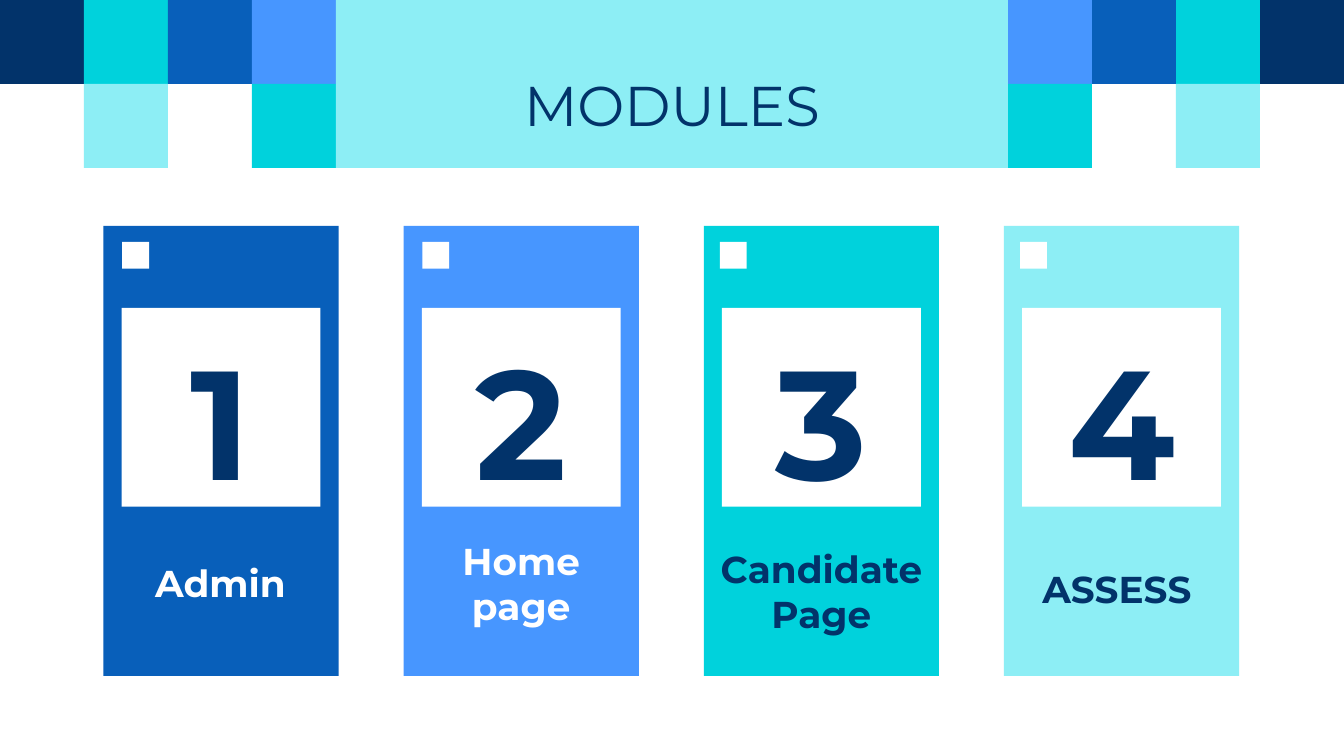
"""Build the MODULES slide: a mosaic header above four numbered module cards."""
from dataclasses import dataclass

from pptx import Presentation
from pptx.dml.color import RGBColor
from pptx.enum.shapes import MSO_SHAPE
from pptx.enum.text import MSO_ANCHOR, PP_ALIGN
from pptx.util import Inches, Pt

RECT = MSO_SHAPE.RECTANGLE
TOP, MIDDLE, BOTTOM = MSO_ANCHOR.TOP, MSO_ANCHOR.MIDDLE, MSO_ANCHOR.BOTTOM
CENTER = PP_ALIGN.CENTER


@dataclass(frozen=True)
class Theme:
    """Colours, font and type sizes."""
    navy: str = "02336A"
    blue: str = "085FBA"
    sky: str = "4796FF"
    teal: str = "00D2DC"
    aqua: str = "8DEEF5"
    white: str = "FFFFFF"
    font: str = "Montserrat"
    title: int = 30
    label: int = 20
    number: int = 83


T = Theme()
WIDTH = 10
TILE = WIDTH / 16
HEIGHT = 9 * TILE
MOSAIC = [
    (0, 0, T.navy), (1, 0, T.teal), (2, 0, T.blue), (3, 0, T.sky),
    (1, 1, T.aqua), (3, 1, T.teal),
]
CARD_LEFT, CARD_TOP, CARD_W, CARD_H = 0.77, 1.68, 1.75, 3.35
CARD_PITCH = (7.47 - CARD_LEFT) / 3
PANEL, MARK, NUMBER_W = 1.48, 0.2, 2.3
CARDS = [
    ("Admin", T.blue, T.white, 0.14, (0.1, 3.82, 1.54, 0.78)),
    ("Home page", T.sky, T.white, 0.14, (0.1, 3.82, 1.55, 0.95)),
    ("Candidate Page", T.teal, T.navy, 0.12, (0, 3.88, 1.75, 0.95)),
    ("ASSESS ", T.aqua, T.navy, 0.12, (-0.2, 4.21, 2.16, 0.44)),
]


def set_text(sp, text, size, color, bold=True, anchor=BOTTOM, insets=(0.1, 0.1, 0.1, 0.1)):
    """Write one centred, formatted paragraph into a shape."""
    tf = sp.text_frame
    left, top, right, bottom = map(Inches, insets)
    frame = {
        "word_wrap": True, "vertical_anchor": anchor, "margin_left": left,
        "margin_top": top, "margin_right": right, "margin_bottom": bottom,
    }
    for name, value in frame.items():
        setattr(tf, name, value)
    p = tf.paragraphs[0]
    p.alignment = CENTER
    r = p.add_run()
    r.text = text
    for name, value in {"name": T.font, "size": Pt(size), "bold": bold}.items():
        setattr(r.font, name, value)
    r.font.color.rgb = RGBColor.from_string(color)


def add_block(s, x, y, w, h, color):
    """Add a flat filled rectangle."""
    sp = s.shapes.add_shape(RECT, Inches(x), Inches(y), Inches(w), Inches(h))
    sp.shadow.inherit = False
    sp.fill.solid()
    sp.fill.fore_color.rgb = RGBColor.from_string(color)
    sp.line.fill.background()
    return sp


def add_label(s, x, y, w, h, text, size, color, anchor=BOTTOM):
    """Add a bold centred text box."""
    sp = s.shapes.add_textbox(Inches(x), Inches(y), Inches(w), Inches(h))
    set_text(sp, text, size, color, anchor=anchor)


def add_header(s):
    """Add the mirrored mosaic and the title block."""
    for col, row, color in MOSAIC:
        for x in (col * TILE, WIDTH - (col + 1) * TILE):
            add_block(s, x, row * TILE, TILE, TILE, color)
    sp = add_block(s, 4 * TILE, 0, 8 * TILE, 2 * TILE, T.aqua)
    set_text(sp, "MODULES", T.title, T.navy, False, MIDDLE, (0.1, 0.3, 0.1, 0))


def add_card(s, index, name, fill, ink, mark_dx, label_box):
    """Add one module card with its mark, number panel and name."""
    x = CARD_LEFT + index * CARD_PITCH
    add_block(s, x, CARD_TOP, CARD_W, CARD_H, fill)
    add_block(s, x + (CARD_W - PANEL) / 2, 2.29, PANEL, PANEL, T.white)
    add_block(s, x + mark_dx, 1.8, MARK, MARK, T.white)
    add_label(s, x + (CARD_W - NUMBER_W) / 2, 2.32, NUMBER_W, 1.6,
              str(index + 1), T.number, T.navy, TOP)
    dx, y, w, h = label_box
    add_label(s, x + dx, y, w, h, name, T.label, ink)


def main():
    """Create and save the presentation."""
    prs = Presentation()
    prs.slide_width, prs.slide_height = Inches(WIDTH), Inches(HEIGHT)
    s = prs.slides.add_slide(prs.slide_layouts[6])
    add_header(s)
    for index, card in enumerate(CARDS):
        add_card(s, index, *card)
    prs.save("out.pptx")


if __name__ == "__main__":
    main()
